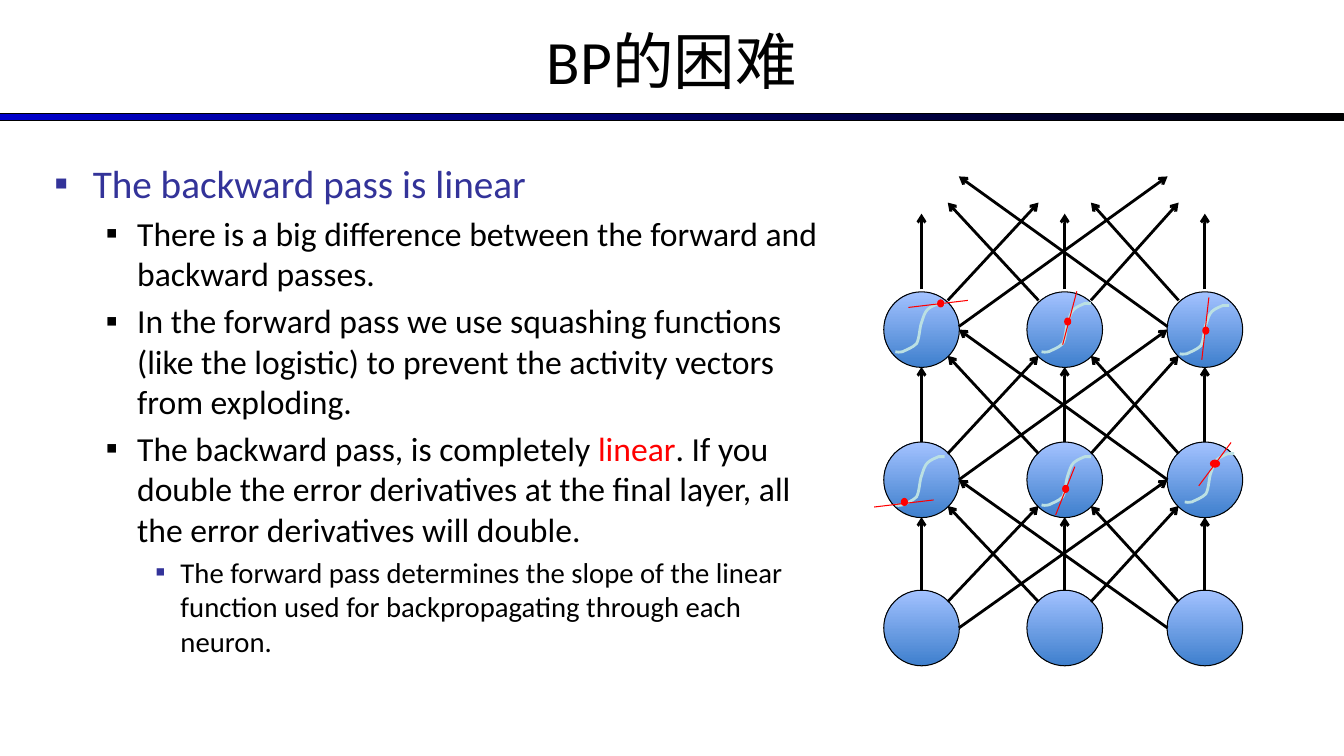
from itertools import product

from lxml import etree
from pptx import Presentation
from pptx import util as u
from pptx.dml.color import RGBColor
from pptx.enum import shapes, text
from pptx.oxml.ns import qn

BLACK = RGBColor(0x00, 0x00, 0x00)
BLUE = RGBColor(0x00, 0x00, 0xCC)
INDIGO = RGBColor(0x33, 0x33, 0x99)
RED = RGBColor(0xFF, 0x00, 0x00)
CURVE = RGBColor(0xBB, 0xE0, 0xE3)
UNIT_LIGHT = RGBColor(0xA3, 0xC2, 0xFF)
UNIT_DARK = RGBColor(0x3E, 0x7F, 0xCD)
FONT = "Calibri"
PX = 9144  # EMU per px, 100 px to the inch

# Content
TITLE = "BP的困难"
BULLETS = [  # level, runs as (words, colour)
    (0, [("The backward pass is linear", INDIGO)]),
    (1, [("There is a big difference between the forward and backward passes.", BLACK)]),
    (1, [("In the forward pass we use squashing functions (like the logistic) "
          "to prevent the activity vectors from exploding.", BLACK)]),
    (1, [("The backward pass, is completely ", BLACK), ("linear", RED),
         (". If you double the error derivatives at the final layer, "
          "all the error derivatives will double.", BLACK)]),
    (2, [("The forward pass determines the slope of the linear function used for "
          "backpropagating through each neuron.", BLACK)]),
]
LEVELS = [  # size in pt, text indent, hanging indent, bullet colour
    (28, 38, 38, INDIGO),
    (24, 82, 31, BLACK),
    (20.5, 125, 25, INDIGO),
]

# Network: unit centres, and the rows that each set of arrows joins
COLUMNS = [914, 1056, 1195]
ROWS = [623, 476, 327]
ARROW_ROWS = [(623, 476), (476, 327), (324, 175)]
DIAMETER = 75
REACH = [(0, 37), (26, 26), (37, 0)]  # arrow end offset by columns crossed

# Logistic curve: start point, then cubic segments, from its top left corner
SIGMOID = [(0, 48), (2, 48), (4, 49), (7, 48), (11, 46), (17, 44), (21, 40),
           (24, 35), (24, 24), (26, 19), (28, 13), (29, 9), (32, 6),
           (35, 3), (41, 1), (43, 0), (46, 0), (49, 0), (49, 0)]
NEURONS = [  # curve corner, tangent from, tangent to, dot centre, dot width
    ((888, 301), (901, 305), (960, 298), (933, 301), 6),
    ((1033, 301), (1054, 342), (1068, 289), (1059, 319), 6),
    ((1170, 303), (1192, 357), (1199, 295), (1196, 328), 6),
    ((888, 453), (867, 503), (926, 496), (897, 498), 6),
    ((1033, 453), (1047, 511), (1066, 463), (1057, 485), 6),
    ((1175, 450), (1189, 482), (1221, 439), (1205, 460), 9),
]
DOT_HEIGHT = 7


def px(*lengths):
    return [round(length * PX) for length in lengths]


def place(shape, left, top, width, height):
    shape.left, shape.top, shape.width, shape.height = px(left, top, width, height)


def add_preset(kind, left, top, width, height, line_colour):
    shape = page.shapes.add_shape(kind, *px(left, top, width, height))
    shape.shadow.inherit = False
    shape.line.color.rgb = line_colour
    shape.line.width = u.Pt(0.75)
    return shape


def add_gradient(shape, first, last, angle):
    shape.fill.gradient()
    shape.fill.gradient_angle = angle
    for stop, colour in zip(shape.fill.gradient_stops, (first, last)):
        stop.color.rgb = colour


def add_line(start, end, colour, width, arrow=False):
    line = page.shapes.add_connector(shapes.MSO_CONNECTOR.STRAIGHT, *px(*start, *end))
    line.line.color.rgb = colour
    line.line.width = u.Pt(width)
    if arrow:
        etree.SubElement(line.line._get_or_add_ln(), qn("a:tailEnd"), type="arrow")
    etree.SubElement(line._element.spPr, qn("a:effectLst"))


def add_bullet(para, indent, hanging, colour):
    props = para._p.get_or_add_pPr()
    props.set("marL", str(indent * PX))
    props.set("indent", str(-hanging * PX))
    tint = etree.SubElement(props, qn("a:buClr"))
    etree.SubElement(tint, qn("a:srgbClr"), val=str(colour))
    etree.SubElement(props, qn("a:buFont"), typeface=FONT)
    etree.SubElement(props, qn("a:buChar"), char="▪")


def add_sigmoid(left, top):
    start, *rest = [px(left + x, top + y) for x, y in SIGMOID]
    builder = page.shapes.build_freeform(*start)
    builder.add_line_segments(rest, close=False)
    curve = builder.convert_to_shape()
    # Join each three line points into one cubic segment
    lines = list(curve._element.iter(qn("a:lnTo")))
    for first in range(0, len(lines), 3):
        segment = etree.Element(qn("a:cubicBezTo"))
        lines[first].addprevious(segment)
        for line in lines[first:first + 3]:
            segment.append(line[0])
            line.getparent().remove(line)
    curve.shadow.inherit = False
    curve.fill.background()
    curve.line.color.rgb = CURVE
    curve.line.width = u.Pt(2)


deck = Presentation()
deck.slide_width, deck.slide_height = px(1333, 750)
page = deck.slides.add_slide(deck.slide_layouts[1])
title, body = page.placeholders

# Title and the bar below it
place(title, 0, -3, 1333, 125)
title.text_frame.text = TITLE
title.text_frame.vertical_anchor = text.MSO_ANCHOR.MIDDLE
para = title.text_frame.paragraphs[0]
para.alignment = text.PP_ALIGN.CENTER
para.font.size, para.font.name = u.Pt(44), FONT
para.font.color.rgb = BLACK
bar = add_preset(shapes.MSO_SHAPE.RECTANGLE, 0, 113, 1333, 7, BLACK)
add_gradient(bar, BLUE, BLACK, 0)

# Bulleted list
place(body, 44, 153, 797, 517)
frame = body.text_frame
frame.auto_size = text.MSO_AUTO_SIZE.NONE
for index, (level, runs) in enumerate(BULLETS):
    size, indent, hanging, colour = LEVELS[level]
    para = frame.add_paragraph() if index else frame.paragraphs[0]
    para.level = level
    add_bullet(para, indent, hanging, colour)
    para.space_before = u.Pt(round(size * 0.2, 1) if index else 0)
    para.font.size, para.font.name = u.Pt(size), FONT
    for words, colour in runs:
        span = para.add_run()
        span.text = words
        span.font.color.rgb = colour

# Units
for y, x in product(ROWS, COLUMNS):
    unit = add_preset(shapes.MSO_SHAPE.OVAL, x - DIAMETER / 2, y - DIAMETER / 2,
                      DIAMETER, DIAMETER, BLACK)
    add_gradient(unit, UNIT_DARK, UNIT_LIGHT, 90)

# Arrows from every unit to every unit of the next row
for (low, high), i, j in product(ARROW_ROWS, range(3), range(3)):
    across, up = REACH[abs(j - i)]
    across = across if j > i else -across
    add_line((COLUMNS[i] + across, low - up), (COLUMNS[j] - across, high + up),
             BLACK, 2, arrow=True)

# Logistic curves with their tangents
for corner, start, end, (x, y), width in NEURONS:
    add_sigmoid(*corner)
    add_line(start, end, RED, 0.75)
    dot = add_preset(shapes.MSO_SHAPE.OVAL, x - width / 2, y - DOT_HEIGHT / 2,
                     width, DOT_HEIGHT, RED)
    dot.fill.solid()
    dot.fill.fore_color.rgb = RED

deck.save("out.pptx")
